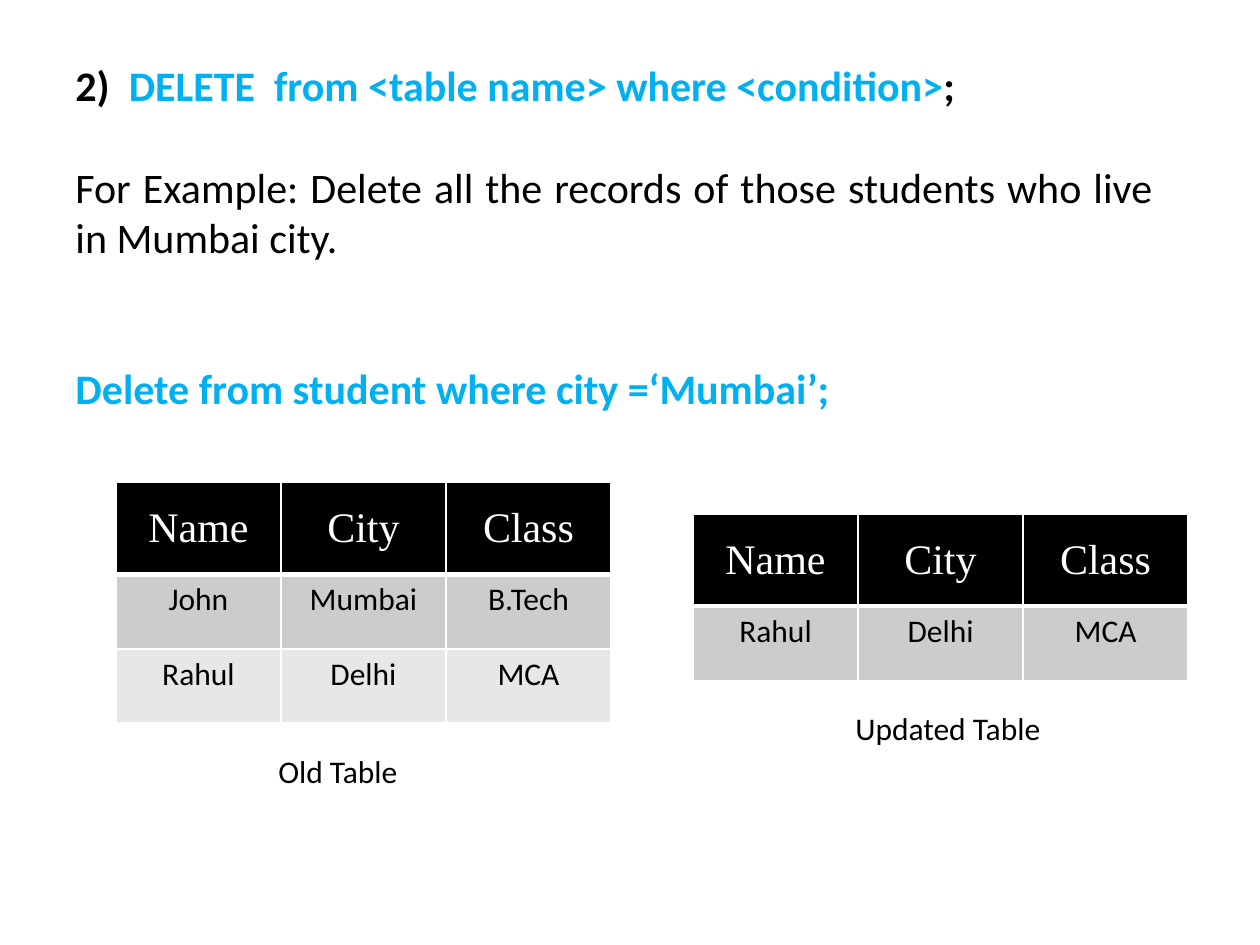
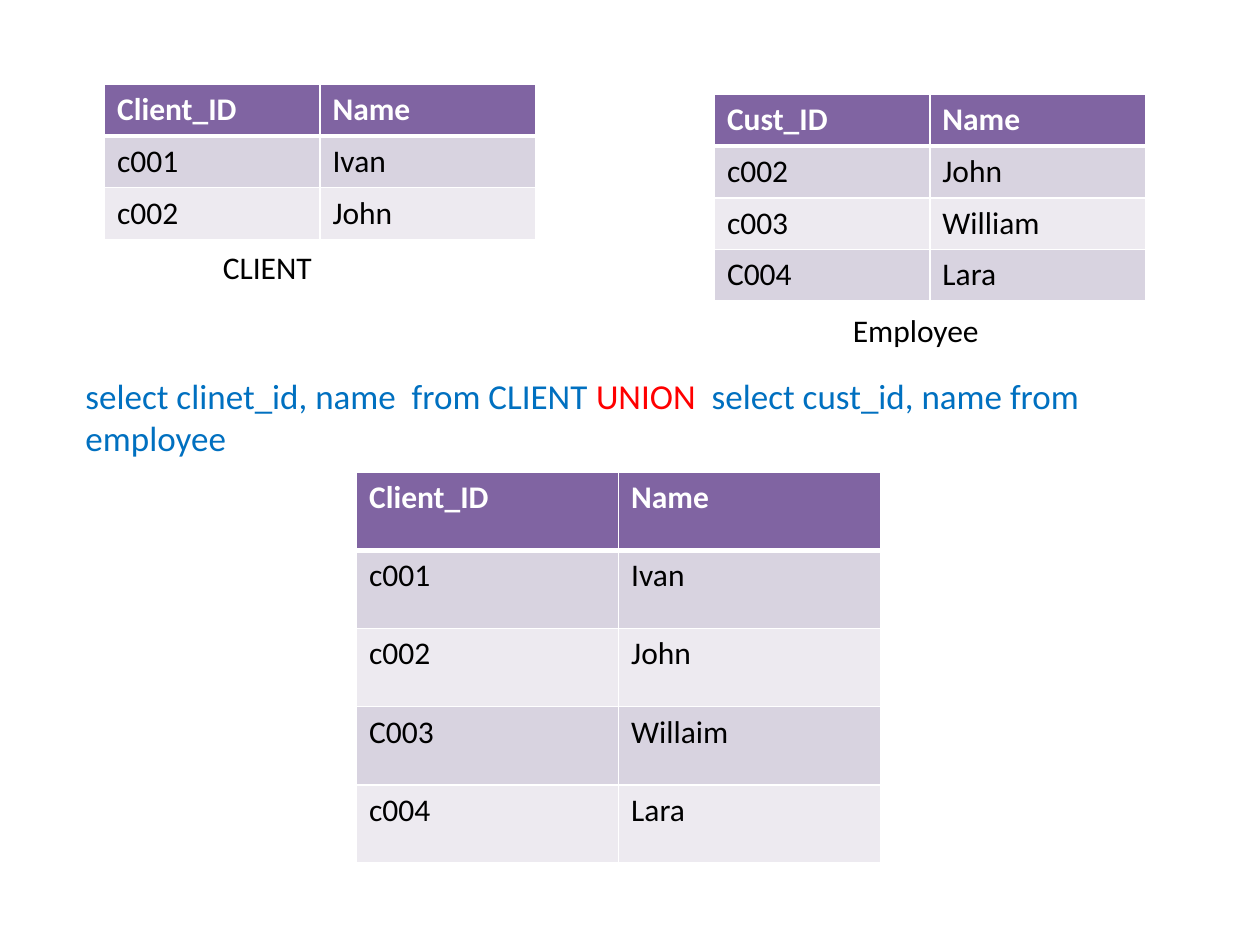
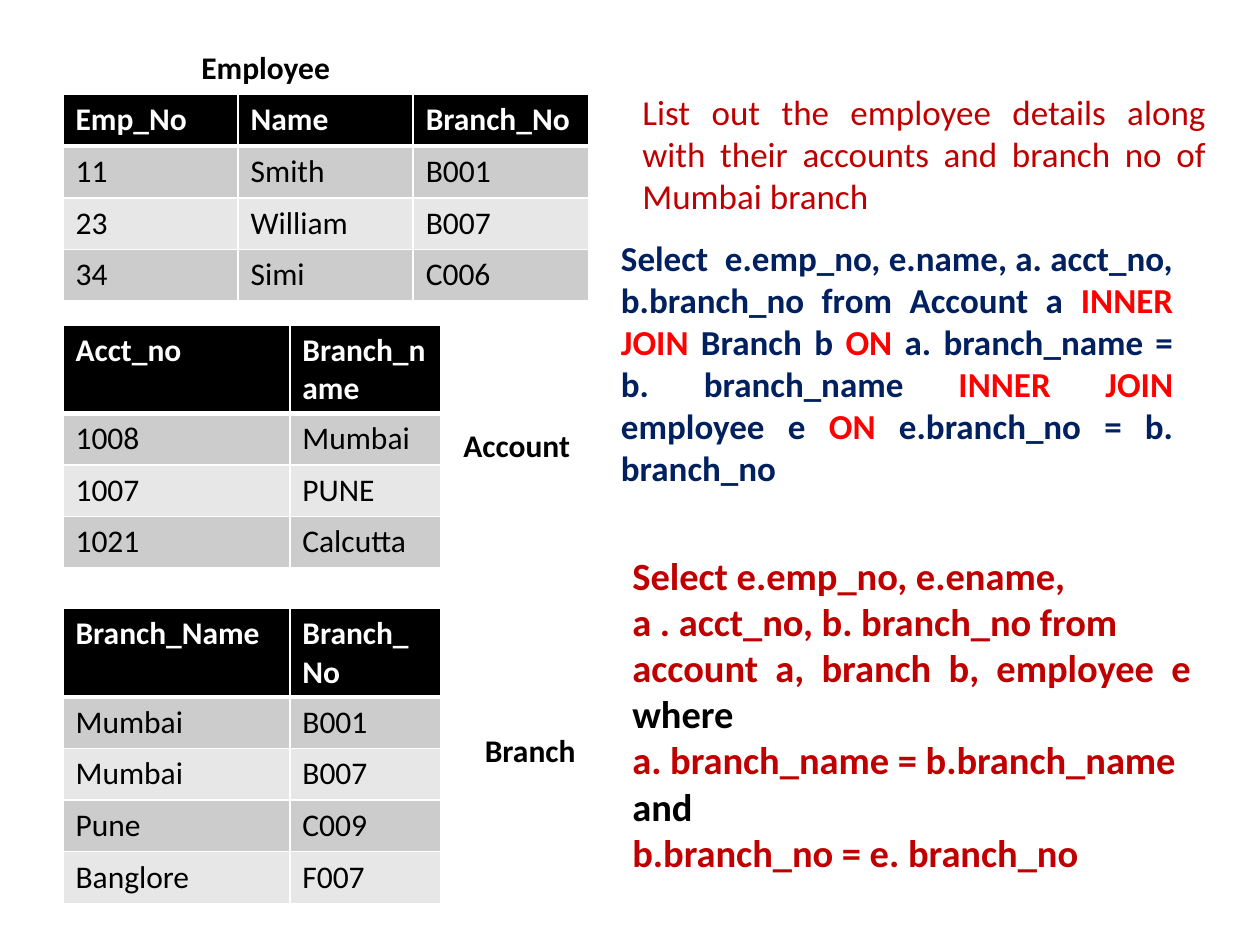
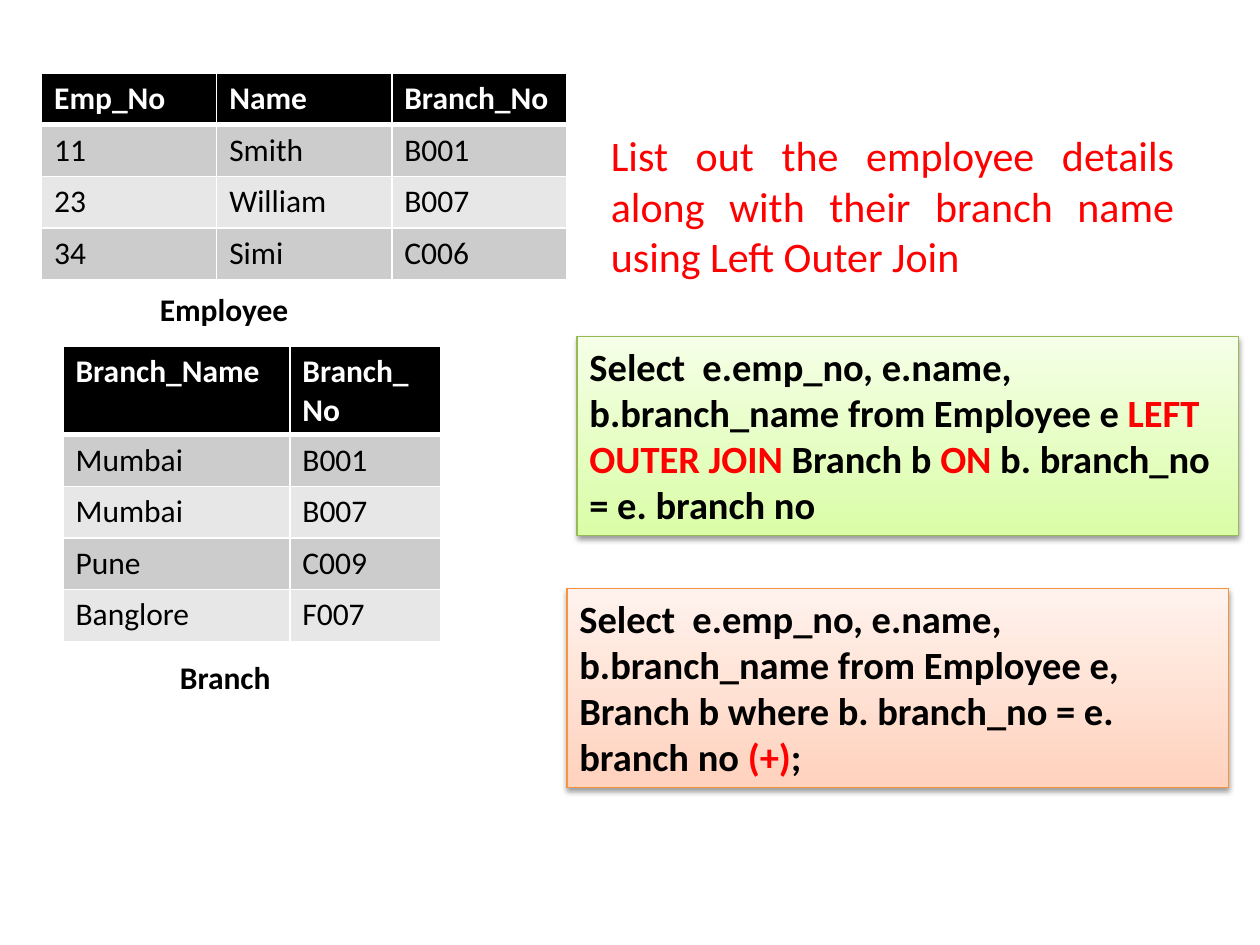
from lxml.etree import SubElement
from pptx import Presentation
from pptx.dml.color import RGBColor
from pptx.enum.shapes import MSO_SHAPE
from pptx.enum.text import MSO_ANCHOR, PP_ALIGN
from pptx.oxml import parse_xml
from pptx.oxml.ns import nsdecls, qn
from pptx.util import Inches, Pt

BLACK, WHITE, RED, CRIMSON = "000000", "FFFFFF", "FF0000", "C00000"
SKY, BLUE, NAVY = "00B0F0", "0070C0", "002060"
GREY = (BLACK, "CCCCCC", "E7E7E7")
PURPLE = ("8064A2", "D8D3E0", "EDEAF0")
ROW = 0.41

RECORD = ["Name", "City", "Class"]
RAHUL = ["Rahul", "Delhi", "MCA"]
STAFF = [["Emp_No", "Name", "Branch_No"], ["11", "Smith", "B001"],
         ["23", "William", "B007"], ["34", "Simi", "C006"]]
BRANCH = [["Branch_Name", "Branch_No"], ["Mumbai", "B001"], ["Mumbai", "B007"],
          ["Pune", "C009"], ["Banglore", "F007"]]
ACCOUNT = [["Acct_no", "Branch_name"], ["1008", "Mumbai"], ["1007", "PUNE"],
           ["1021", "Calcutta"]]
CLIENT = [["Client_ID", "Name"], ["c001", "Ivan"], ["c002", "John"]]
BUYER = [["Cust_ID", "Name"], ["c002", "John"], ["c003", "William"], ["C004", "Lara"]]
UNION = CLIENT + [["C003", "Willaim"], ["c004", "Lara"]]

TALL = dict(head=0.73, row=0.59, centre=True)
TRIO = dict(cols=[1.39] * 3)
PAIR = dict(cols=[1.8, 1.2], head=0.7)
DUO = dict(cols=[1.71] * 2, tint=PURPLE)
BOLD = dict(bold=True)

SLIDES = [
    dict(
        texts=[
            ((0.5, 0.42, 8.75, 6.16), [
                [("2)  ", BLACK), ("DELETE  from <table name> where <condition>", SKY),
                 (";", BLACK)]], dict(size=24, bold=True)),
            ((0.5, 1.23, 8.75, 0.9),
             "For Example: Delete all the records of those students who live in Mumbai city.",
             dict(size=24, align=PP_ALIGN.JUSTIFY)),
            ((0.5, 2.83, 8.75, 0.5), "Delete from student where city =‘Mumbai’;",
             dict(size=24, bold=True, color=SKY)),
            ((1.67, 5.92, 2.42, 0.4), "Old Table", dict(indent=0.44)),
            ((6.25, 5.58, 2.42, 0.4), "Updated Table", dict(indent=0.44)),
        ],
        tables=[
            (0.92, 3.83, [RECORD, ["John", "Mumbai", "B.Tech"], RAHUL],
             dict(cols=[1.31] * 3, **TALL)),
            (5.5, 4.08, [RECORD, RAHUL], dict(cols=[1.31] * 3, **TALL)),
        ]),
    dict(
        texts=[
            ((1.67, 1.92, 1.83, 0.4), "CLIENT", {}),
            ((6.67, 2.42, 1.83, 0.4), "Employee", {}),
            ((0.58, 2.92, 9.08, 0.77), [
                [("select clinet_id, name  from CLIENT ", BLUE), ("UNION", RED),
                 ("  select cust_id, name from employee", BLUE)]], dict(size=20)),
        ],
        tables=[
            (0.83, 0.67, CLIENT, DUO),
            (5.67, 0.75, BUYER, DUO),
            (2.83, 3.75, UNION, dict(cols=[2.08] * 2, tint=PURPLE, head=0.62, row=0.62)),
        ]),
    dict(
        texts=[
            ((1.5, 0.33, 2, 0.4), "Employee", BOLD),
            ((3.58, 5.75, 1.17, 0.4), "Branch", dict(bold=True, indent=0.17)),
            ((3.58, 3.33, 1.17, 0.4), "Account", BOLD),
            ((5, 0.67, 4.67, 1.11),
             "List out the employee details along with their accounts and branch no"
             " of Mumbai branch",
             dict(size=20, color=CRIMSON, align=PP_ALIGN.JUSTIFY)),
            ((4.83, 1.83, 4.58, 2.42), [
                [("Select  e.emp_no, e.name, a. acct_no, b.branch_no from Account a ", NAVY),
                 ("INNER JOIN", RED), (" Branch b ", NAVY), ("ON", RED),
                 (" a. branch_name = b. branch_name ", NAVY), ("INNER JOIN ", RED),
                 ("employee e ", NAVY), ("ON ", RED),
                 ("e.branch_no = b. branch_no", NAVY)]],
             dict(size=20, bold=True, align=PP_ALIGN.JUSTIFY)),
            ((4.92, 4.33, 4.75, 2.69), [
                "Select e.emp_no, e.ename,",
                [("a . acct_no, b. branch_no from account  a,  branch  b,  employee  e  ",
                  CRIMSON), ("where", BLACK)],
                [("a. branch_name = b.branch_name ", CRIMSON), ("and", BLACK)],
                "b.branch_no = e. branch_no"],
             dict(size=22, bold=True, color=CRIMSON)),
        ],
        tables=[
            (0.5, 0.75, STAFF, TRIO),
            (0.5, 4.83, BRANCH, PAIR),
            (0.5, 2.58, ACCOUNT, PAIR),
        ]),
    dict(
        texts=[
            ((4.75, 0.98, 4.67, 1.31),
             "List out the employee details along with their branch name using Left Outer Join",
             dict(size=24, color=RED, align=PP_ALIGN.JUSTIFY)),
            ((1.17, 2.25, 1.83, 0.4), "Employee", BOLD),
            ((1.33, 5.17, 1.83, 0.4), "Branch", BOLD),
        ],
        tables=[
            (0.33, 0.58, STAFF, TRIO),
            (0.5, 2.75, BRANCH, PAIR),
        ],
        cards=[
            (4.58, 2.67, ("DAFDA7", "F5FFE7"), "98B955", [
                [("Select  e.emp_no, e.name, b.branch_name from Employee e ", BLACK),
                 ("LEFT OUTER JOIN", RED), (" Branch b ", BLACK), ("ON", RED),
                 (" b. branch_no = e. branch no", BLACK)]]),
            (4.5, 4.67, ("FFD2BD", "FFF2ED"), "F69240", [
                [("Select  e.emp_no, e.name, b.branch_name from Employee e, Branch b"
                  " where b. branch_no = e. branch no ", BLACK),
                 ("(+)", RED), (";", BLACK)]]),
        ]),
]


def rgb(code):
    return RGBColor.from_string(code)


def write(frame, text, size=18, color=BLACK, bold=False, font="Calibri",
          align=PP_ALIGN.LEFT, indent=0):
    paras = [text] if isinstance(text, str) else text
    for i, para in enumerate(paras):
        line = frame.add_paragraph() if i else frame.paragraphs[0]
        line.alignment = align
        if indent:
            line._p.get_or_add_pPr().set("marL", str(Inches(indent)))
        for words, tone in [(para, color)] if isinstance(para, str) else para:
            run = line.add_run()
            run.text = words
            run.font.size, run.font.bold, run.font.name = Pt(size), bold, font
            run.font.color.rgb = rgb(tone)


def add_text(slide, place, text, style):
    frame = slide.shapes.add_textbox(*map(Inches, place)).text_frame
    frame.word_wrap = True
    write(frame, text, **style)


def edge(cell, widths):
    props = cell._tc.get_or_add_tcPr()
    for side, width in zip("LRTB", widths):
        line = SubElement(props, qn("a:ln" + side), w=str(Pt(width)))
        fill = SubElement(line, qn("a:solidFill"))
        SubElement(fill, qn("a:srgbClr"), val=WHITE)


def add_grid(slide, left, top, rows, cols, head=ROW, row=ROW, tint=GREY, centre=False):
    high = [head] + [row] * (len(rows) - 1)
    size = map(Inches, (left, top, sum(cols), sum(high)))
    grid = slide.shapes.add_table(len(rows), len(cols), *size).table
    for col, wide in zip(grid.columns, cols):
        col.width = Inches(wide)
    for r, items in enumerate(rows):
        grid.rows[r].height = Inches(high[r])
        style = dict(align=PP_ALIGN.CENTER if centre else PP_ALIGN.LEFT)
        if r == 0:
            style.update(color=WHITE, bold=not centre)
            if centre:
                style.update(size=24, font="Times New Roman")
        for c, item in enumerate(items):
            cell = grid.cell(r, c)
            edge(cell, (1, 1, 3 if r == 1 else 1, 3 if r == 0 else 1))
            cell.fill.solid()
            cell.fill.fore_color.rgb = rgb(tint[0 if r == 0 else 2 - r % 2])
            if centre and r == 0:
                cell.vertical_anchor = MSO_ANCHOR.MIDDLE
            write(cell.text_frame, item, **style)


def add_card(slide, left, top, tones, rim, text):
    card = slide.shapes.add_shape(MSO_SHAPE.RECTANGLE,
                                  *map(Inches, (left, top, 5.25, 1.58)))
    card.fill.gradient()
    card.fill.gradient_angle = 90
    for stop, tone in zip(card.fill.gradient_stops, tones):
        stop.color.rgb = rgb(tone)
    card.line.color.rgb = rgb(rim)
    card.line.width = Pt(0.75)
    card._element.spPr.append(parse_xml(
        f'<a:effectLst {nsdecls("a")}><a:outerShdw blurRad="{Pt(3.1)}" dist="{Pt(1.6)}"'
        ' dir="5400000" rotWithShape="0"><a:srgbClr val="000000"><a:alpha val="38000"/>'
        '</a:srgbClr></a:outerShdw></a:effectLst>'))
    frame = card.text_frame
    frame.word_wrap = True
    frame.vertical_anchor = MSO_ANCHOR.TOP
    write(frame, text, size=22, bold=True)


def main():
    deck = Presentation()
    deck.slide_width, deck.slide_height = Inches(10), Inches(7.5)
    for page in SLIDES:
        slide = deck.slides.add_slide(deck.slide_layouts[6])
        for place, text, style in page["texts"]:
            add_text(slide, place, text, style)
        for left, top, rows, style in page["tables"]:
            add_grid(slide, left, top, rows, **style)
        for card in page.get("cards", []):
            add_card(slide, *card)
    deck.save("out.pptx")


if __name__ == "__main__":
    main()
